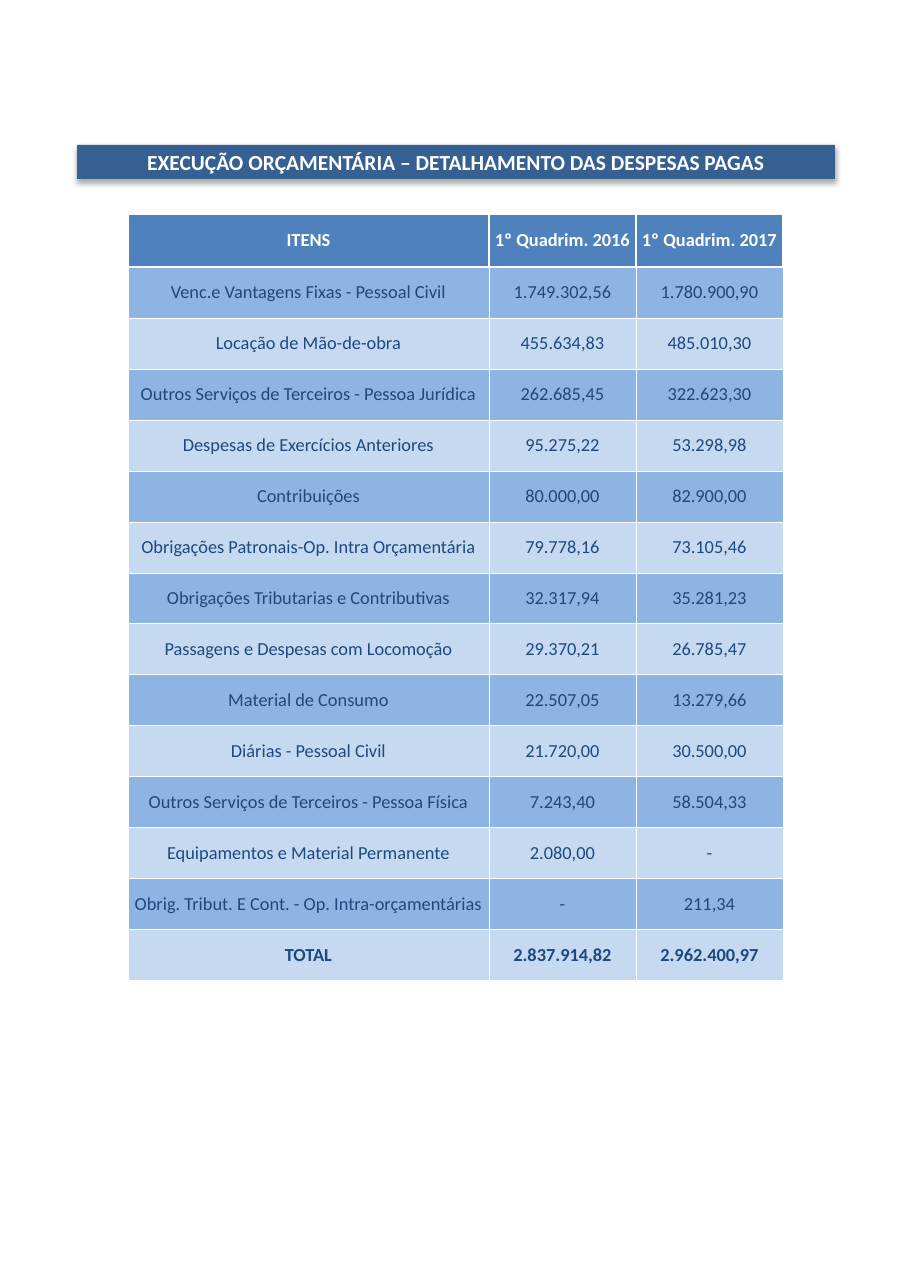
from dataclasses import dataclass

from lxml.etree import SubElement
from pptx import Presentation
from pptx.dml.color import RGBColor
from pptx.enum.text import MSO_ANCHOR as Anchor, MSO_AUTO_SIZE as AutoSize, PP_ALIGN as Align
from pptx.oxml.ns import qn
from pptx.util import Emu, Pt

EMU_PER_PX = 8298
FONT = "Calibri"
WHITE = RGBColor(0xFF, 0xFF, 0xFF)
BLACK = RGBColor(0x00, 0x00, 0x00)
BANNER_BLUE = RGBColor(0x37, 0x60, 0x92)
HEADER_BLUE = RGBColor(0x4F, 0x81, 0xBD)
TEXT_BLUE = RGBColor(0x1F, 0x49, 0x7D)
BAND_COLORS = (RGBColor(0x8D, 0xB4, 0xE3), RGBColor(0xC5, 0xD9, 0xF1))

COLUMN_WIDTHS = (361, 147, 147)
HEADER_HEIGHT = 53
ROW_HEIGHT = 51
HEADER_BORDER = 1.0
BODY_BORDER = 0.5


@dataclass(frozen=True)
class Expense:
    item: str
    paid_2016: str
    paid_2017: str


HEADINGS = Expense("ITENS", "1º Quadrim. 2016", "1º Quadrim. 2017")
EXPENSES = (
    Expense("Venc.e Vantagens Fixas - Pessoal Civil", "1.749.302,56", "1.780.900,90"),
    Expense("Locação de Mão-de-obra", "455.634,83", "485.010,30"),
    Expense("Outros Serviços de Terceiros - Pessoa Jurídica", "262.685,45", "322.623,30"),
    Expense("Despesas de Exercícios Anteriores", "95.275,22", "53.298,98"),
    Expense("Contribuições", "80.000,00", "82.900,00"),
    Expense("Obrigações Patronais-Op. Intra Orçamentária", "79.778,16", "73.105,46"),
    Expense("Obrigações Tributarias e Contributivas", "32.317,94", "35.281,23"),
    Expense("Passagens e Despesas com Locomoção", "29.370,21", "26.785,47"),
    Expense("Material de Consumo", "22.507,05", "13.279,66"),
    Expense("Diárias - Pessoal Civil", "21.720,00", "30.500,00"),
    Expense("Outros Serviços de Terceiros - Pessoa Física", "7.243,40", "58.504,33"),
    Expense("Equipamentos e Material Permanente", "2.080,00", "-"),
    Expense("Obrig. Tribut. E Cont. - Op. Intra-orçamentárias", "-", "211,34"),
)
TOTAL = Expense("TOTAL", "2.837.914,82", "2.962.400,97")


@dataclass(frozen=True)
class RowStyle:
    fill: RGBColor
    text: RGBColor
    bold: bool
    top_border: float
    border: float


def px(length: int) -> Emu:
    return Emu(length * EMU_PER_PX)


def format_text(text_frame, size: int, color: RGBColor, bold: bool) -> None:
    paragraph = text_frame.paragraphs[0]
    paragraph.alignment = Align.CENTER
    for run in paragraph.runs:
        run.font.name = FONT
        run.font.size = Pt(size)
        run.font.bold = bold
        run.font.color.rgb = color


def add_shadow(shape) -> None:
    effects = SubElement(shape._element.spPr, qn("a:effectLst"))
    shadow = SubElement(effects, qn("a:outerShdw"), blurRad=str(Pt(3.5)),
                        dist=str(Pt(2.2)), dir="5400000", rotWithShape="0")
    color = SubElement(shadow, qn("a:srgbClr"), val=str(BLACK))
    SubElement(color, qn("a:alpha"), val="32000")


def draw_banner(slide) -> None:
    banner = slide.shapes.title
    banner.left, banner.top, banner.width, banner.height = map(px, (77, 145, 758, 34))
    banner.fill.solid()
    banner.fill.fore_color.rgb = BANNER_BLUE
    banner.line.fill.background()
    add_shadow(banner)
    text_frame = banner.text_frame
    text_frame.text = "EXECUÇÃO ORÇAMENTÁRIA – DETALHAMENTO DAS DESPESAS PAGAS"
    text_frame.word_wrap = True
    text_frame.auto_size = AutoSize.NONE
    text_frame.vertical_anchor = Anchor.MIDDLE
    format_text(text_frame, 14, WHITE, True)


def set_borders(cell, style: RowStyle) -> None:
    properties = cell._tc.get_or_add_tcPr()
    for side in ("lnL", "lnR", "lnT", "lnB"):
        width = style.top_border if side == "lnT" else style.border
        line = SubElement(properties, qn(f"a:{side}"), w=str(Pt(width)))
        fill = SubElement(line, qn("a:solidFill"))
        SubElement(fill, qn("a:srgbClr"), val=str(WHITE))


def draw_cell(cell, text: str, style: RowStyle) -> None:
    cell.margin_left = cell.margin_right = cell.margin_top = cell.margin_bottom = 0
    cell.vertical_anchor = Anchor.MIDDLE
    set_borders(cell, style)
    cell.fill.solid()
    cell.fill.fore_color.rgb = style.fill
    cell.text_frame.text = text
    format_text(cell.text_frame, 12, style.text, style.bold)


def row_style(index: int, last: int) -> RowStyle:
    if index == 0:
        return RowStyle(HEADER_BLUE, WHITE, True, HEADER_BORDER, HEADER_BORDER)
    top_border = HEADER_BORDER if index == 1 else BODY_BORDER
    fill = BAND_COLORS[(index - 1) % 2]
    return RowStyle(fill, TEXT_BLUE, index == last, top_border, BODY_BORDER)


def draw_expense_table(slide) -> None:
    expenses = (HEADINGS, *EXPENSES, TOTAL)
    last = len(expenses) - 1
    height = HEADER_HEIGHT + last * ROW_HEIGHT
    table = slide.shapes.add_table(
        len(expenses), len(COLUMN_WIDTHS),
        px(128), px(214), px(sum(COLUMN_WIDTHS)), px(height)).table
    for column, width in zip(table.columns, COLUMN_WIDTHS):
        column.width = px(width)
    for index, (row, expense) in enumerate(zip(table.rows, expenses)):
        row.height = px(ROW_HEIGHT if index else HEADER_HEIGHT)
        style = row_style(index, last)
        texts = (expense.item, expense.paid_2016, expense.paid_2017)
        for cell, text in zip(row.cells, texts):
            draw_cell(cell, text, style)


def main() -> None:
    presentation = Presentation()
    presentation.slide_width, presentation.slide_height = px(911), px(1288)
    title_only = presentation.slide_layouts[5]
    slide = presentation.slides.add_slide(title_only)
    draw_banner(slide)
    draw_expense_table(slide)
    presentation.save("out.pptx")


if __name__ == "__main__":
    main()
